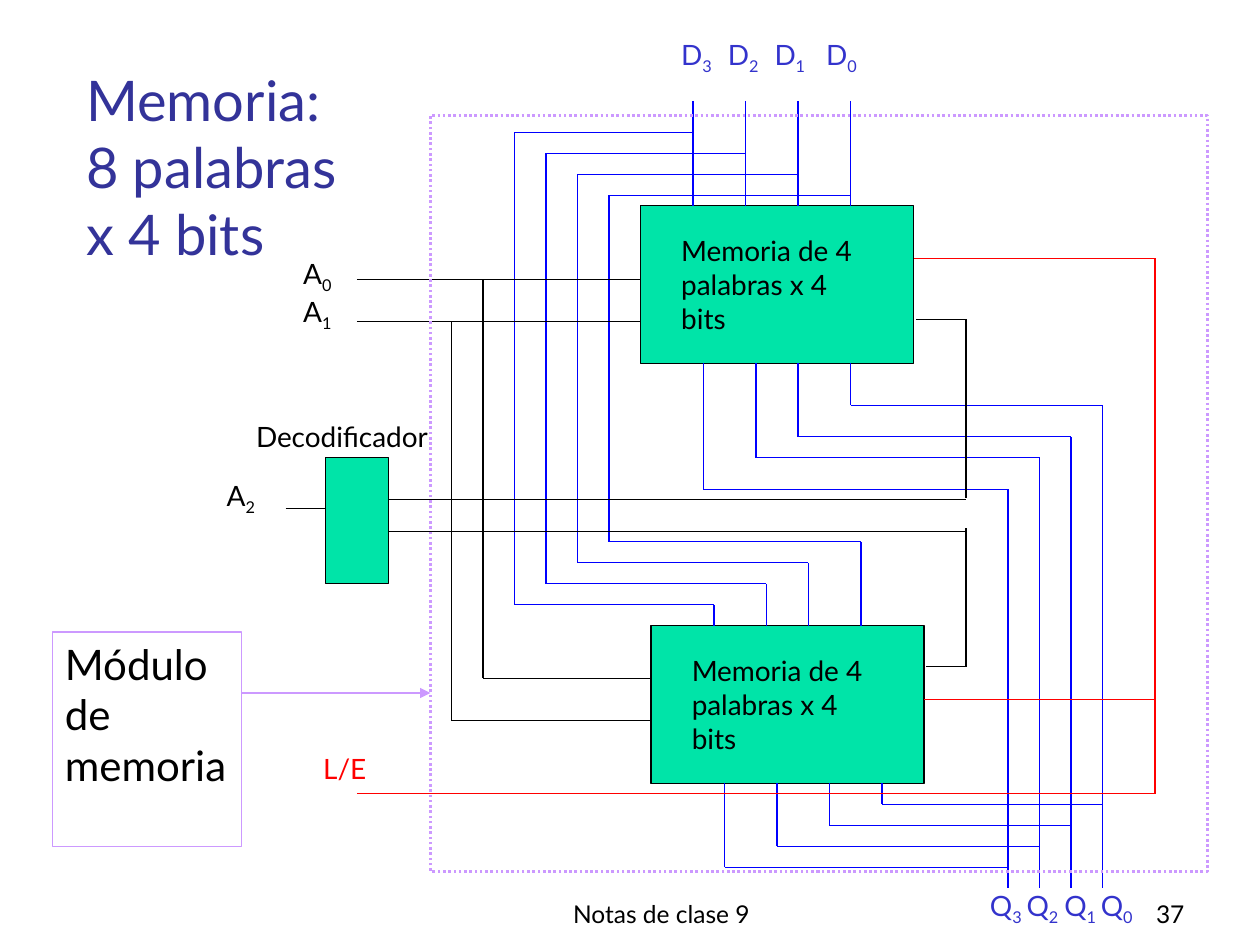
import pptx
import pptx.util
import pptx.dml.color
import pptx.enum.dml
import pptx.enum.shapes
import pptx.enum.text
import lxml.etree
from dataclasses import dataclass
from itertools import pairwise

ALIGN = pptx.enum.text.PP_ALIGN
ANCHOR = pptx.enum.text.MSO_ANCHOR
AUTO = pptx.enum.text.MSO_AUTO_SIZE


@dataclass(frozen=True)
class Theme:
    font: str = "Lato"
    ink: str = "000000"
    data: str = "0000FF"
    control: str = "FF0000"
    chip: str = "00E4A8"
    module: str = "CC99FF"
    title: str = "333399"
    pins: str = "3333CC"
    title_size: int = 32
    module_size: int = 24
    label_size: int = 16
    footer_size: int = 14
    thin: float = 0.75
    thick: float = 1.5


def colour(code):
    return pptx.dml.color.RGBColor.from_string(code)


def add_xml(parent, tag, **attributes):
    return lxml.etree.SubElement(parent, pptx.oxml.ns.qn(tag), attributes)


class Diagram:
    """Draws on a grid of 120 columns, 12 to the inch, with square cells."""

    unit = 1 / 12
    top = 0.05

    def __init__(self, theme):
        self.theme = theme
        self.deck = pptx.Presentation()
        self.deck.slide_width = pptx.util.Inches(10)
        self.deck.slide_height = pptx.util.Inches(7.5)
        self.page = self.deck.slides.add_slide(self.deck.slide_layouts[5])

    def length(self, cells):
        return pptx.util.Inches(cells * self.unit)

    def point(self, column, row):
        return self.length(column), self.length(row) + pptx.util.Inches(self.top)

    def place(self, column, row, width, height):
        return *self.point(column, row), self.length(width), self.length(height)

    def set_text(self, shape, text, size, code, align=ALIGN.LEFT, anchor=ANCHOR.TOP, tabs=()):
        """Sets one paragraph a line; an underscore lowers the next character."""
        frame = shape.text_frame
        settings = {"word_wrap": True, "auto_size": AUTO.NONE, "vertical_anchor": anchor}
        for name, value in settings.items():
            setattr(frame, name, value)
        for number, line in enumerate(text.split("\n")):
            para = frame.add_paragraph() if number else frame.paragraphs[0]
            para.alignment = align
            para.space_before = pptx.util.Pt(0)
            if tabs:
                stops = add_xml(para._p.get_or_add_pPr(), "a:tabLst")
                for stop in tabs:
                    add_xml(stops, "a:tab", pos=str(pptx.util.Inches(stop)), algn="l")
            first, *others = line.split("_")
            pieces = [(first, False)]
            for other in others:
                pieces += [(other[0], True), (other[1:], False)]
            for words, lowered in pieces:
                if not words:
                    continue
                span = para.add_run()
                span.text = words
                look = {"name": self.theme.font, "size": pptx.util.Pt(size), "bold": False}
                for name, value in look.items():
                    setattr(span.font, name, value)
                span.font.color.rgb = colour(code)
                if lowered:
                    span.font._element.set("baseline", "-25000")

    def title(self, text, *cells):
        shape = self.page.shapes.title
        for name, value in zip(("left", "top", "width", "height"), self.place(*cells)):
            setattr(shape, name, value)
        self.set_text(shape, text, self.theme.title_size, self.theme.title, anchor=ANCHOR.BOTTOM)

    def label(self, text, cells, code=None, size=None, **options):
        shape = self.page.shapes.add_textbox(*self.place(*cells))
        self.set_text(shape, text, size or self.theme.label_size, code or self.theme.ink, **options)

    def block(self, cells, fill=None, line=None, weight=None, dash=None):
        kind = pptx.enum.shapes.MSO_SHAPE.RECTANGLE
        shape = self.page.shapes.add_shape(kind, *self.place(*cells))
        shape.shadow.inherit = False
        if fill:
            shape.fill.solid()
            shape.fill.fore_color.rgb = colour(fill)
        else:
            shape.fill.background()
        shape.line.color.rgb = colour(line or self.theme.ink)
        shape.line.width = pptx.util.Pt(weight or self.theme.thin)
        if dash:
            shape.line.dash_style = dash
        return shape

    def wire(self, code, *corners, arrow=False):
        """Joins the corners, given as (column, row), with straight lines."""
        straight = pptx.enum.shapes.MSO_CONNECTOR.STRAIGHT
        for start, end in pairwise(corners):
            line = self.page.shapes.add_connector(straight, *self.point(*start), *self.point(*end))
            line.line.color.rgb = colour(code)
            line.line.width = pptx.util.Pt(self.theme.thin)
            if arrow:
                add_xml(line.line._get_or_add_ln(), "a:tailEnd", type="triangle")
            add_xml(line._element.spPr, "a:effectLst")


def main():
    theme = Theme()
    diagram = Diagram(theme)
    wire, label = diagram.wire, diagram.label
    diagram.title("Memoria:\n8 palabras\nx 4 bits", 7, 3.4, 33, 22)

    # Memory chips and decoder
    upper, lower = (61, 19), (62, 59)
    wide, high = 26, 15
    for column, row in (upper, lower):
        diagram.block((column, row, wide, high), theme.chip)
    diagram.block((31, 43, 6, 12), theme.chip)

    # Data inputs D3 to D0, each branching to the lower chip
    for bit, (pin, low_pin) in enumerate(zip((66, 71, 76, 81), (68, 73, 77, 82))):
        bus, branch, turn = 49 + 3 * bit, 12 + 2 * bit, 57 - 2 * bit
        wire(theme.data, (pin, 9), (pin, upper[1]))
        wire(theme.data, (pin, branch), (bus, branch), (bus, turn),
             (low_pin, turn), (low_pin, lower[1]))

    # Data outputs Q3 to Q0, shared by both chips
    outputs = zip((67, 72, 76, 81), (46, 43, 41, 38), (69, 74, 79, 84))
    for bit, (pin, turn, low_pin) in enumerate(outputs):
        bus, join = 96 + 3 * bit, 82 - 2 * bit
        wire(theme.data, (pin, upper[1] + high), (pin, turn), (bus, turn), (bus, 84))
        wire(theme.data, (low_pin, lower[1] + high), (low_pin, join), (bus, join))

    # Address lines A0 and A1
    for row, bus, low_row in ((26, 46, 64), (30, 43, 68)):
        wire(theme.ink, (34, row), (upper[0], row))
        wire(theme.ink, (bus, row), (bus, low_row), (lower[0], low_row))

    # Decoder input and chip selection
    wire(theme.ink, (27.2, 47.8), (31, 47.8))
    for row, start, pin in ((47, 46.8, (87.2, 29.8)), (50, 49.7, (88.2, 62.9))):
        wire(theme.ink, (37, row), (92, row))
        wire(theme.ink, (92, start), (92, pin[1]), pin)

    # Read/write line
    wire(theme.control, (34, 75), (110, 75), (110, 24), (upper[0] + wide, 24))
    wire(theme.control, (lower[0] + wide, 66), (110, 66))

    # Labels
    for column, row in (upper, lower):
        label("Memoria de 4 palabras x 4 bits", (column + 2.7, row + 2.1, 20.8, 10.8))
    label("A_0\nA_1", (27.7, 23.2, 5.6, 8.5))
    label("A_2", (20.4, 44.4, 7.6, 4.9))
    label("Decodificador", (23.2, 38.8, 20.8, 4.4))
    label("L/E", (29.6, 70.4, 10.4, 4.4), theme.control)
    label("D_3\tD_2\tD_1\tD_0", (63.7, 2.4, 21.7, 4.9), theme.pins, tabs=(0.37, 0.74, 1.15))
    label("Q_3\tQ_2\tQ_1\tQ_0", (93.1, 83.4, 19.8, 4.9), theme.pins, tabs=(0.29, 0.59, 0.88))

    # Module outline and its caption
    diagram.block((41, 10.4, 74, 72), line=theme.module, weight=theme.thick,
                  dash=pptx.enum.dml.MSO_LINE.ROUND_DOT)
    caption = diagram.block((5, 59.6, 18, 20.4), line=theme.module)
    diagram.set_text(caption, "Módulo de memoria", theme.module_size, theme.ink)
    wire(theme.module, (23, 65.4), (41, 65.4), arrow=True)

    # Footer
    footer = {"size": theme.footer_size, "anchor": ANCHOR.BOTTOM}
    label("37", (89, 82.4, 25, 6), align=ALIGN.RIGHT, **footer)
    label("Notas de clase 9", (44, 82.4, 38, 6), align=ALIGN.CENTER, **footer)

    diagram.deck.save("out.pptx")


if __name__ == "__main__":
    main()
